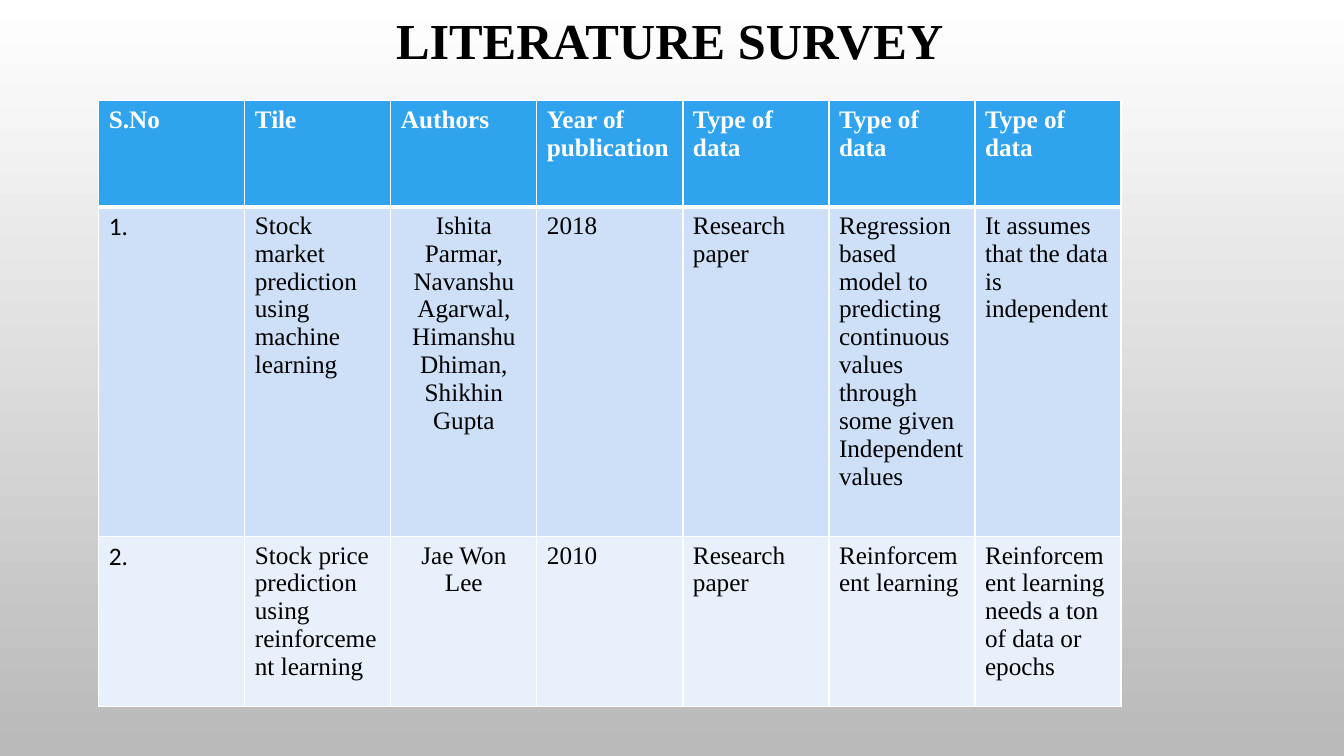
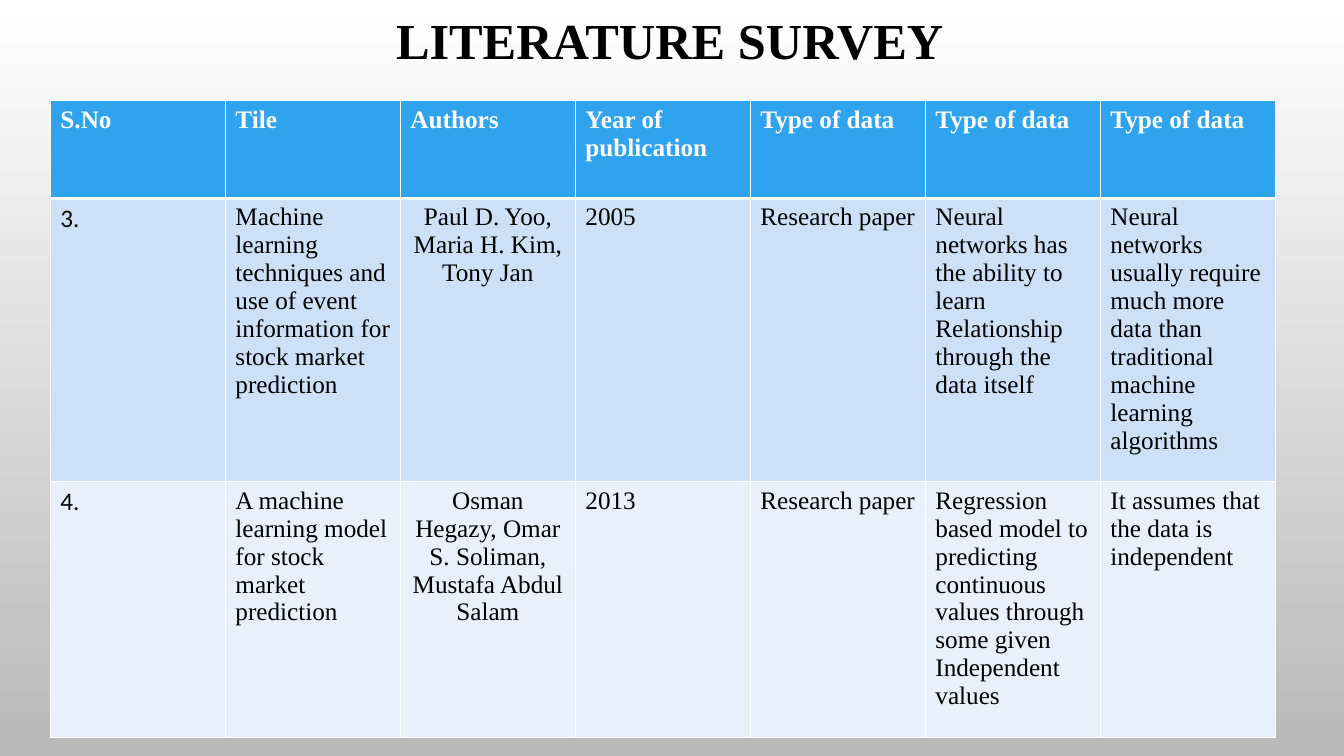
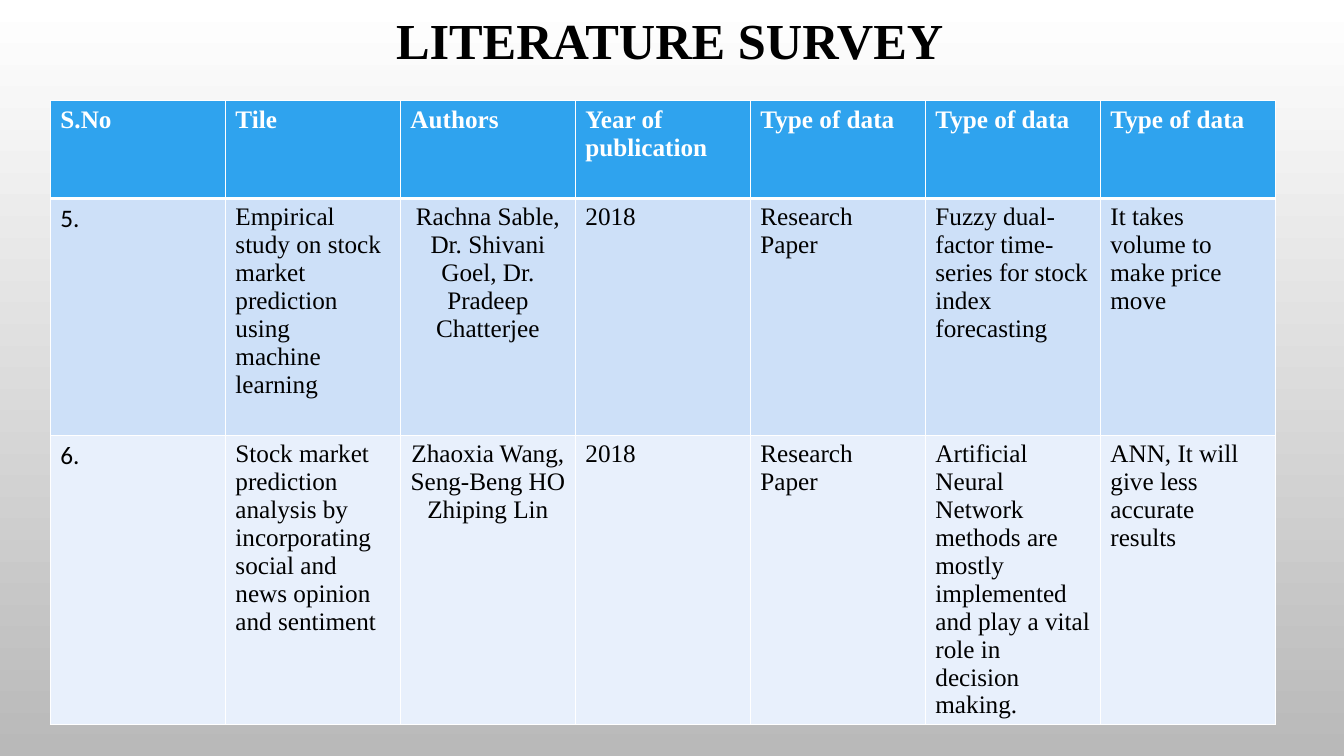
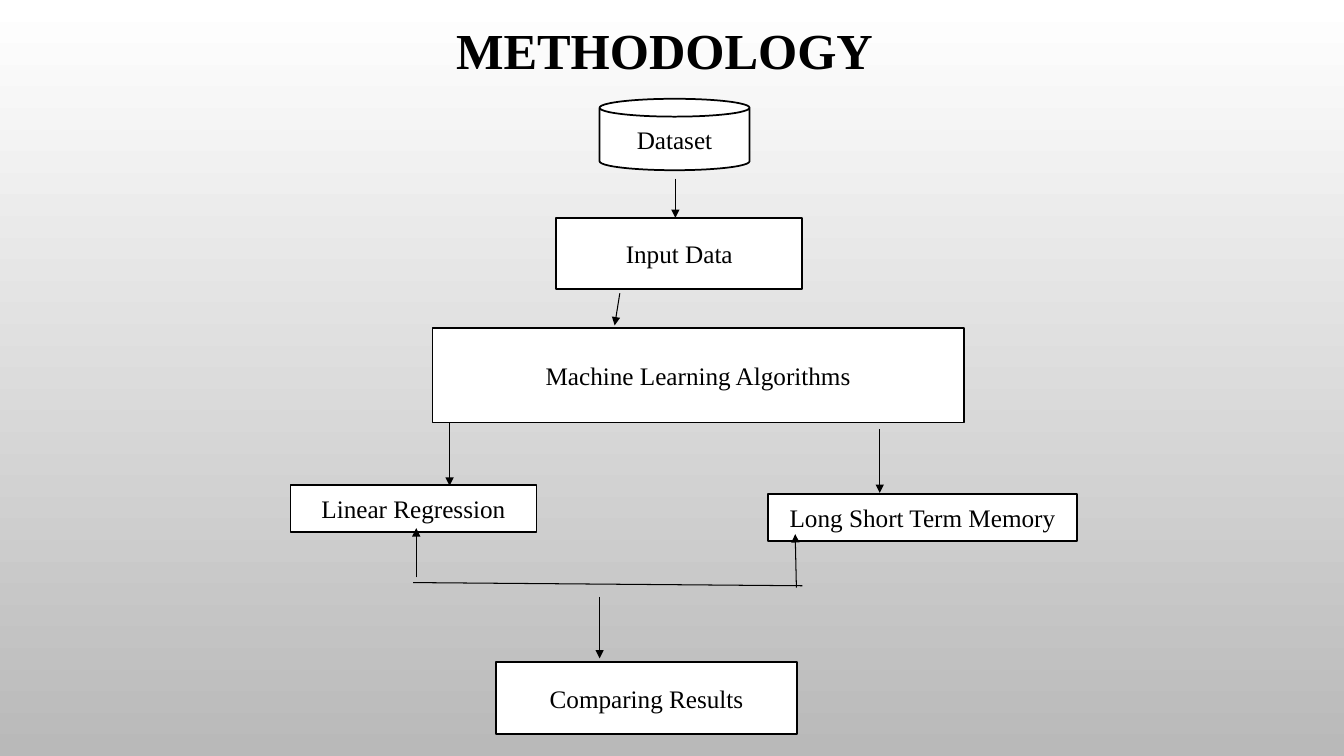
from pptx import Presentation
from pptx.dml.color import RGBColor
from pptx.enum.shapes import MSO_CONNECTOR, MSO_SHAPE
from pptx.enum.text import MSO_ANCHOR, PP_ALIGN
from pptx.oxml.ns import qn
from pptx.util import Cm, Pt
from lxml import etree

CENTER, LEFT = PP_ALIGN.CENTER, PP_ALIGN.LEFT
MIDDLE = MSO_ANCHOR.MIDDLE
STRAIGHT = MSO_CONNECTOR.STRAIGHT
RECT, CAN = MSO_SHAPE.RECTANGLE, MSO_SHAPE.CAN

# Shared style
COLORS = {
    "white": "FFFFFF",
    "black": "000000",
    "backdrop_end": "B9B9B9",
    "header": "2FA3EE",
    "band_dark": "CDE0F8",
    "band_light": "E8F0FC",
}
SERIF, SANS = "Times New Roman", "Calibri"
TEXT_SIZE, TITLE_SIZE = 18, 36
TITLE_ONLY = 5
AUTHORS_COLUMN = 2

# Survey content: a cell may hold several paragraphs, split by \n
HEADINGS = ["S.No", "Tile", "Authors", "Year of publication",
            "Type of data", "Type of data", "Type of data"]
REGRESSION = ("Regression based model to predicting continuous values "
              "through some given\nIndependent values")
INDEPENDENCE = "It assumes that the data is independent"

# Each survey: left, column width, row heights (cm), entries
SURVEYS = [
    (2.49, 3.68, (2.67, 8.31, 4.29), [
        ["1.", "Stock market prediction using machine learning",
         "Ishita Parmar, Navanshu Agarwal, Himanshu Dhiman, Shikhin Gupta",
         "2018", "Research paper", REGRESSION, INDEPENDENCE],
        ["2.", "Stock price prediction using reinforcement learning",
         "Jae Won Lee", "2010", "Research paper", "Reinforcement learning",
         "Reinforcement learning needs a ton of data or epochs"],
    ]),
    (1.27, 4.41, (2.46, 7.14, 6.45), [
        ["3.", "Machine learning techniques and use of event information "
         "for stock market\nprediction",
         "Paul D. Yoo, Maria H. Kim, Tony Jan", "2005", "Research paper",
         "Neural networks has the ability to learn\n"
         "Relationship through the data itself",
         "Neural networks usually require much more data than traditional "
         "machine learning algorithms"],
        ["4.", "A machine learning model for stock market\nprediction",
         "Osman Hegazy, Omar S. Soliman, Mustafa Abdul Salam",
         "2013", "Research paper", REGRESSION, INDEPENDENCE],
    ]),
    (1.27, 4.41, (2.46, 5.97, 7.28), [
        ["5.", "Empirical study on stock market prediction using\n"
         "machine learning",
         "Rachna Sable, Dr. Shivani Goel, Dr. Pradeep Chatterjee",
         "2018", "Research Paper",
         "Fuzzy dual-factor time-series for stock index forecasting",
         "It takes volume to make price move"],
        ["6.", "Stock market prediction analysis by incorporating\n"
         "social and news opinion and sentiment",
         "Zhaoxia Wang, Seng-Beng HO Zhiping Lin", "2018", "Research Paper",
         "Artificial Neural Network methods are mostly implemented and play "
         "a vital role in decision making.",
         "ANN, It will give less accurate results"],
    ]),
]

# Flowchart: shape, label, left, top, width, height (cm)
STEPS = [
    (CAN, "Dataset", 15.11, 2.49, 3.78, 1.8),
    (RECT, "Input Data", 14.02, 5.49, 6.2, 1.8),
    (RECT, "Machine Learning Algorithms", 10.9, 8.26, 13.39, 2.39),
    (RECT, "Linear Regression", 7.32, 12.22, 6.2, 1.19),
    (RECT, "Long Short Term Memory", 19.35, 12.45, 7.8, 1.19),
    (RECT, "Comparing Results", 12.5, 16.69, 7.59, 1.8),
]
# Arrows: start x, start y, end x, end y (cm)
ARROWS = [
    (17.02, 4.5, 17.02, 5.49),
    (15.62, 7.39, 15.49, 8.2),
    (11.33, 10.64, 11.33, 12.24),
    (22.17, 10.82, 22.17, 12.42),
    (10.49, 14.55, 10.49, 13.31),
    (20.07, 14.81, 20.04, 13.46),
    (15.11, 15.04, 15.11, 16.59),
]
COMPARISON_BAR = (10.41, 14.68, 20.22, 14.76)


def color(name):
    return RGBColor.from_string(COLORS[name])


def style_text(frame, size=TEXT_SIZE, font=SERIF, ink="black", bold=False,
               align=CENTER):
    for paragraph in frame.paragraphs:
        paragraph.alignment = align
        paragraph.font.size = Pt(size)
        paragraph.font.name = font
        paragraph.font.bold = bold
        paragraph.font.color.rgb = color(ink)


def set_backdrop(prs):
    fill = prs.slide_master.background.fill
    fill.gradient()
    fill.gradient_angle = 270
    for stop, name in zip(fill.gradient_stops, ("white", "backdrop_end")):
        stop.color.rgb = color(name)


def add_titled_slide(prs, text, left, width, height):
    slide = prs.slides.add_slide(prs.slide_layouts[TITLE_ONLY])
    title = slide.shapes.title
    title.left, title.top = Cm(left), Cm(0)
    title.width, title.height = Cm(width), Cm(height)
    title.text_frame.text = text
    title.text_frame.vertical_anchor = MIDDLE
    title.text_frame.paragraphs[0].line_spacing = 0.9
    style_text(title.text_frame, size=TITLE_SIZE, bold=True)
    return slide


def set_borders(cell, top, bottom):
    properties = cell._tc.get_or_add_tcPr()
    for side, points in (("L", 1), ("R", 1), ("T", top), ("B", bottom)):
        line = etree.SubElement(properties, qn(f"a:ln{side}"), w=str(Pt(points)))
        fill = etree.SubElement(line, qn("a:solidFill"))
        etree.SubElement(fill, qn("a:srgbClr"), val=COLORS["white"])


def add_survey_table(slide, left, column_width, row_heights, entries):
    rows = [HEADINGS] + entries
    table = slide.shapes.add_table(
        len(rows), len(HEADINGS), Cm(left), Cm(2.54),
        Cm(column_width * len(HEADINGS)), Cm(sum(row_heights))).table
    for column in table.columns:
        column.width = Cm(column_width)
    bands = ("header", "band_dark", "band_light")
    for r, (texts, height, band) in enumerate(zip(rows, row_heights, bands)):
        table.rows[r].height = Cm(height)
        is_header = r == 0
        for c, text in enumerate(texts):
            cell = table.cell(r, c)
            cell.text_frame.text = text
            # A thick rule separates the header from the entries
            set_borders(cell, 3 if r == 1 else 1, 3 if is_header else 1)
            cell.fill.solid()
            cell.fill.fore_color.rgb = color(band)
            style_text(
                cell.text_frame,
                font=SANS if c == 0 and not is_header else SERIF,
                ink="white" if is_header else "black",
                bold=is_header,
                align=CENTER if c == AUTHORS_COLUMN and not is_header else LEFT)


def add_step(slide, outline, label, left, top, width, height):
    step = slide.shapes.add_shape(outline, Cm(left), Cm(top), Cm(width), Cm(height))
    step.shadow.inherit = False
    step.fill.solid()
    step.fill.fore_color.rgb = color("white")
    step.line.color.rgb = color("black")
    step.line.width = Pt(1.25)
    step.text_frame.word_wrap = True
    step.text_frame.vertical_anchor = MIDDLE
    step.text_frame.text = label
    style_text(step.text_frame)


def add_line(slide, ends, arrow=False):
    line = slide.shapes.add_connector(STRAIGHT, *(Cm(value) for value in ends))
    line.line.color.rgb = color("black")
    line.line.width = Pt(0.75)
    if arrow:
        etree.SubElement(line.line._get_or_add_ln(), qn("a:tailEnd"), type="triangle")
    etree.SubElement(line._element.spPr, qn("a:effectLst"))


def main():
    prs = Presentation()
    prs.slide_width, prs.slide_height = Cm(33.87), Cm(19.05)
    set_backdrop(prs)

    # Literature survey
    for survey in SURVEYS:
        slide = add_titled_slide(prs, "LITERATURE SURVEY", 2.49, 28.78, 2.16)
        add_survey_table(slide, *survey)

    # Methodology flowchart
    slide = add_titled_slide(prs, "METHODOLOGY", 3.86, 25.78, 2.67)
    for step in STEPS:
        add_step(slide, *step)
    for ends in ARROWS:
        add_line(slide, ends, arrow=True)
    add_line(slide, COMPARISON_BAR)

    prs.save("out.pptx")


if __name__ == "__main__":
    main()
